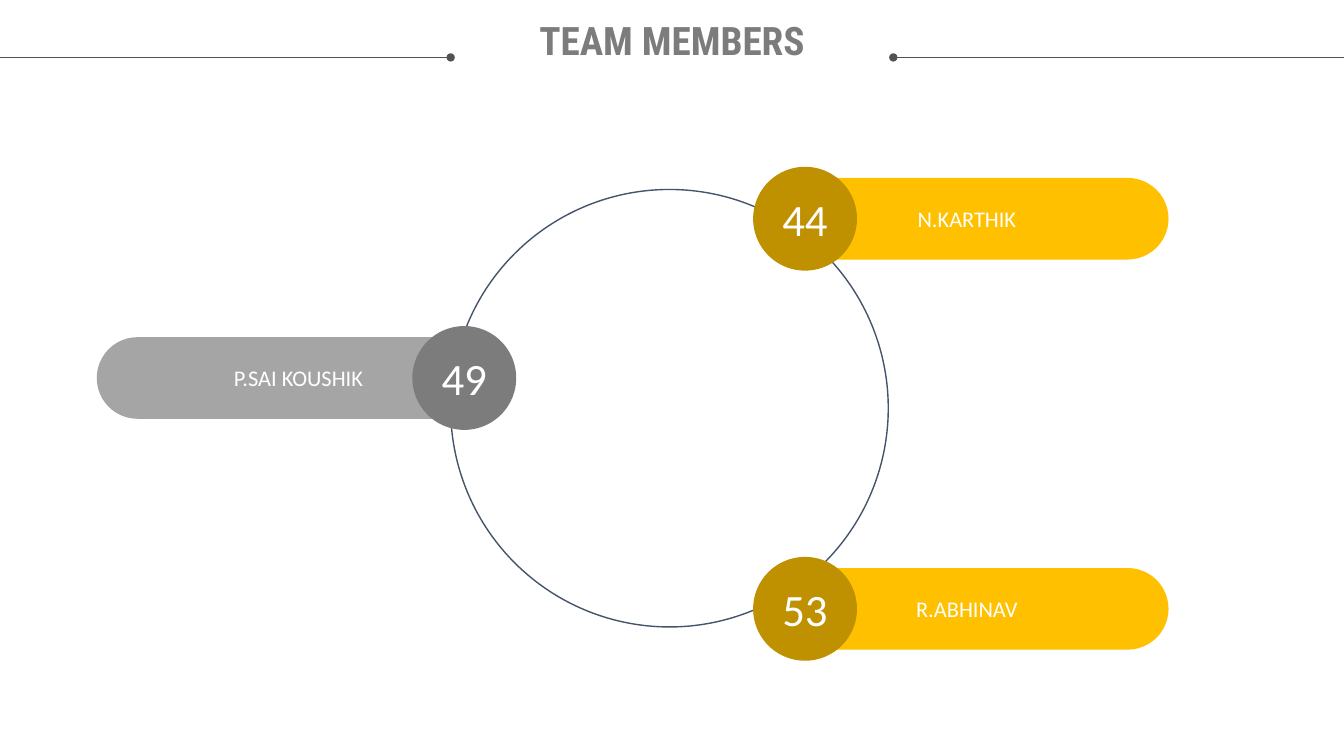
from pptx import Presentation
from pptx.dml.color import RGBColor
from pptx.enum.shapes import MSO_CONNECTOR as CONNECTOR, MSO_SHAPE as SHAPE
from pptx.enum.text import MSO_ANCHOR as ANCHOR, MSO_AUTO_SIZE as AUTO_SIZE, PP_ALIGN as ALIGN
from pptx.oxml.ns import qn
from pptx.util import Inches, Pt
from lxml.etree import SubElement

WIDTH, HEIGHT = 13.33, 7.5
RULE_Y = 0.57
PILL_WIDTH, PILL_HEIGHT = 4, 0.81
BADGE_SIZE = 1.03

GOLD, DARK_GOLD = "FFC000", "BF9000"
GREY, DARK_GREY = "A5A5A5", "7C7C7C"

# number, name, pill left, badge left, centre height, pill colour, badge colour
MEMBERS = [
    ("44", "N.KARTHIK", 7.59, 7.47, 2.17, GOLD, DARK_GOLD),
    ("53", "R.ABHINAV", 7.59, 7.47, 6.04, GOLD, DARK_GOLD),
    ("49", "P.SAI KOUSHIK", 0.96, 4.09, 3.75, GREY, DARK_GREY),
]


def rgb(value):
    return RGBColor.from_string(value)


class SlideBuilder:
    title_style = {"name": "Roboto Condensed", "size": Pt(28), "bold": True}
    body_font = "Calibri"

    def __init__(self, slide):
        self.slide = slide

    def add_text(self, shape, text, color, style):
        """Put one centred paragraph into a shape."""
        paragraph = shape.text_frame.paragraphs[0]
        paragraph.alignment = ALIGN.CENTER
        run = paragraph.add_run()
        run.text = text
        for name, value in style.items():
            setattr(run.font, name, value)
        run.font.color.rgb = rgb(color)
        return paragraph

    def title(self, text, left, top, width, height):
        box = self.slide.shapes.add_textbox(*map(Inches, (left, top, width, height)))
        frame_format = {"word_wrap": True, "auto_size": AUTO_SIZE.SHAPE_TO_FIT_TEXT,
                        "margin_left": 0, "margin_top": 0,
                        "margin_right": 0, "margin_bottom": 0}
        for name, value in frame_format.items():
            setattr(box.text_frame, name, value)
        self.add_text(box, text, DARK_GREY, self.title_style).line_spacing = 0.9

    def ring(self, left, top, size, color):
        shape = self.slide.shapes.add_shape(
            SHAPE.OVAL, *map(Inches, (left, top, size, size)))
        shape.shadow.inherit = False
        shape.fill.background()
        shape.line.color.rgb = rgb(color)
        shape.line.width = Pt(1)

    def label(self, kind, text, left, center_y, width, height, color, size):
        """Add a filled shape with white text, centred on a height."""
        shape = self.slide.shapes.add_shape(
            kind, *map(Inches, (left, center_y - height / 2, width, height)))
        shape.shadow.inherit = False
        shape.fill.solid()
        shape.fill.fore_color.rgb = rgb(color)
        shape.line.fill.background()
        shape.text_frame.word_wrap = True
        shape.text_frame.vertical_anchor = ANCHOR.MIDDLE
        self.add_text(shape, text, "FFFFFF", {"name": self.body_font, "size": Pt(size)})
        return shape

    def rule(self, start, end, dot_end):
        """Add a level line with a dot at its "a:headEnd" or "a:tailEnd"."""
        line = self.slide.shapes.add_connector(
            CONNECTOR.STRAIGHT, *map(Inches, (start, RULE_Y, end, RULE_Y)))
        line.line.color.rgb = rgb("525252")
        line.line.width = Pt(0.5)
        properties = line._element.spPr
        SubElement(properties.find(qn("a:ln")), qn(dot_end), type="oval")
        SubElement(properties, qn("a:effectLst"))

    def member(self, number, name, pill_left, badge_left, center_y, pill_color, badge_color):
        pill = self.label(SHAPE.ROUNDED_RECTANGLE, name, pill_left, center_y,
                          PILL_WIDTH, PILL_HEIGHT, pill_color, 16)
        pill.adjustments[0] = 0.5
        self.label(SHAPE.OVAL, number, badge_left, center_y,
                   BADGE_SIZE, BADGE_SIZE, badge_color, 32)


def main():
    presentation = Presentation()
    presentation.slide_width = Inches(WIDTH)
    presentation.slide_height = Inches(HEIGHT)
    builder = SlideBuilder(presentation.slides.add_slide(presentation.slide_layouts[6]))

    builder.ring(4.47, 1.88, 4.34, "44546A")
    builder.rule(8.86, WIDTH, "a:headEnd")
    builder.title("TEAM MEMBERS", 0.25, 0.21, 12.83, 0.42)
    builder.rule(0, 4.47, "a:tailEnd")
    for member in MEMBERS:
        builder.member(*member)

    presentation.save("out.pptx")


if __name__ == "__main__":
    main()
